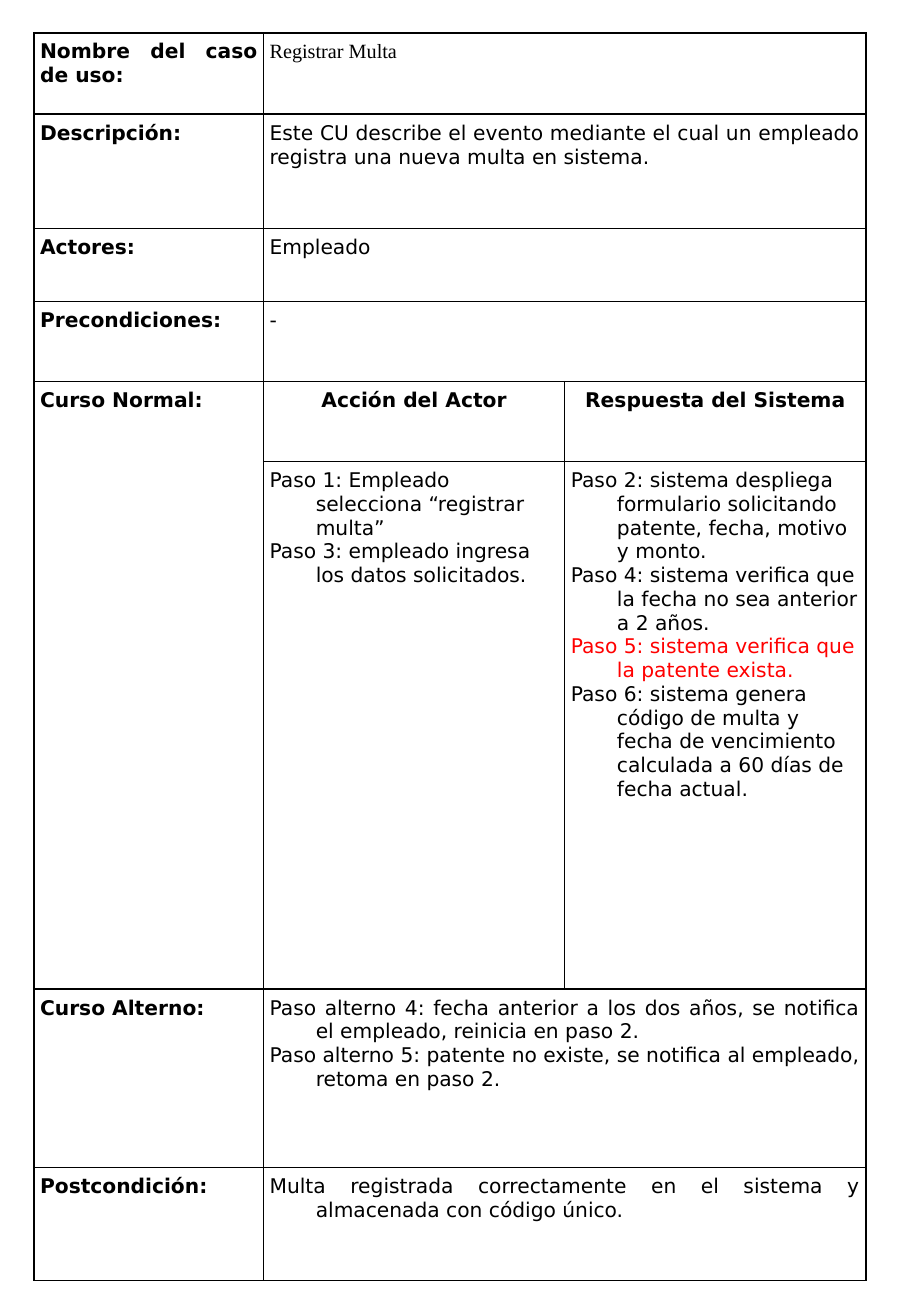
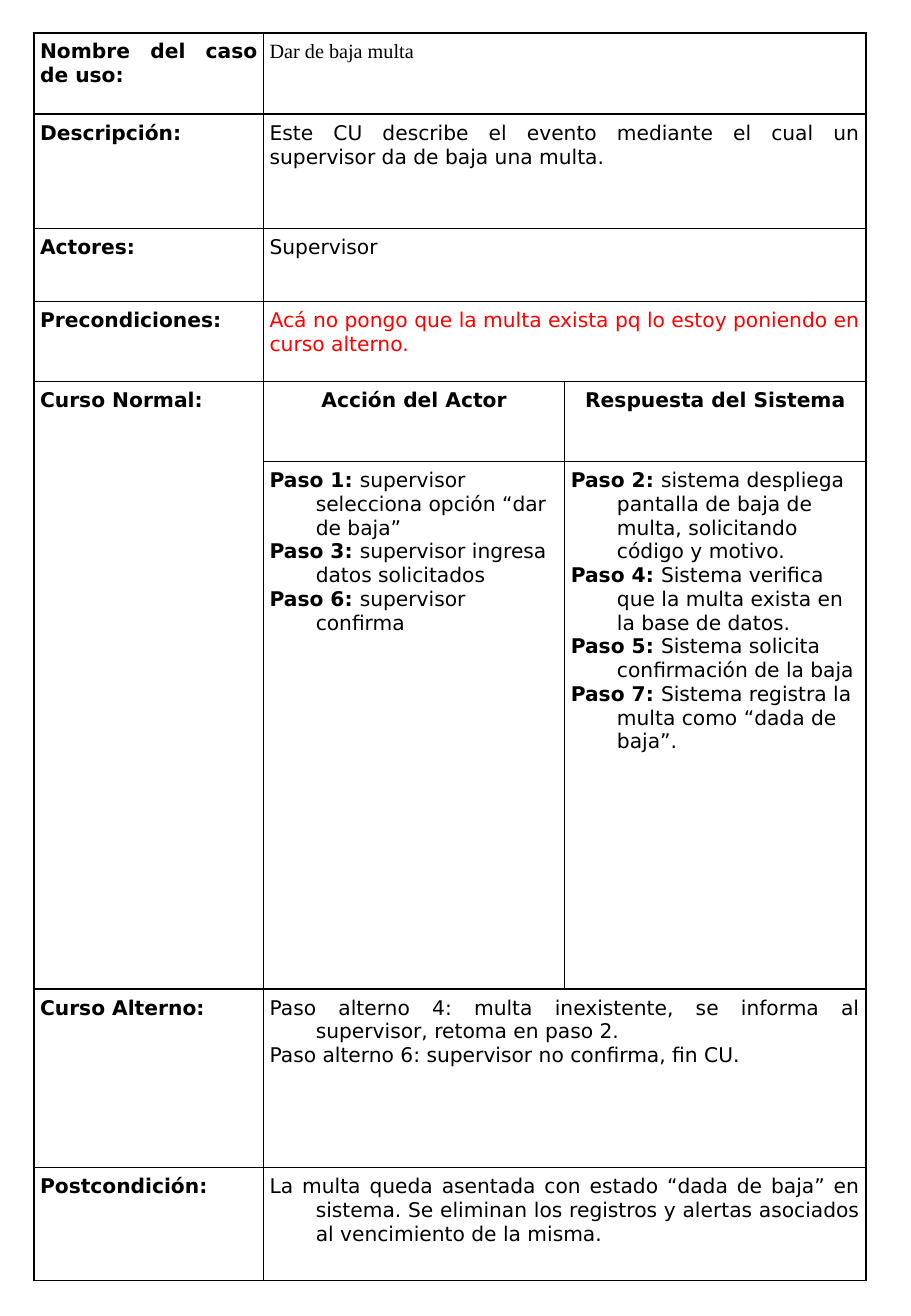
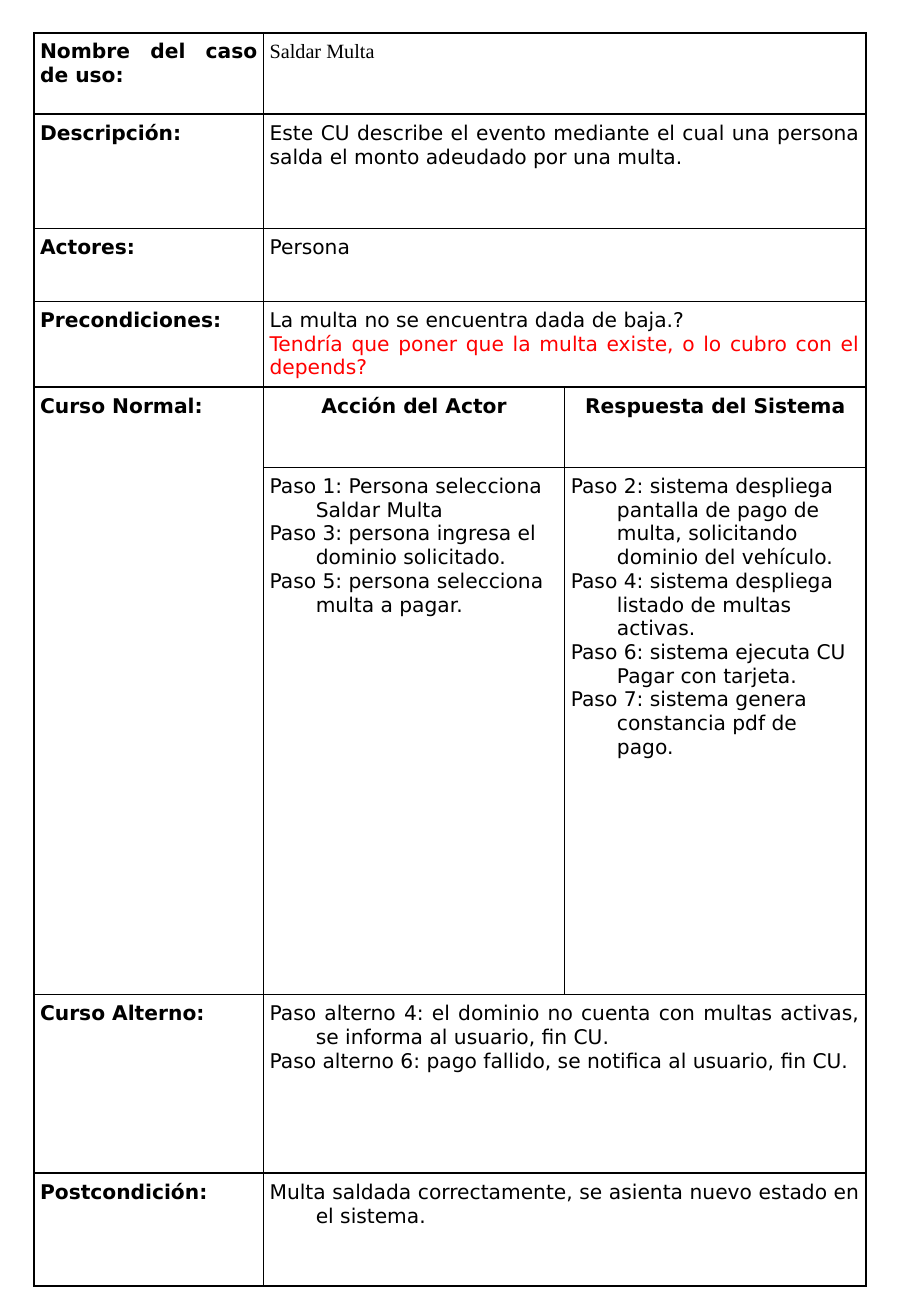
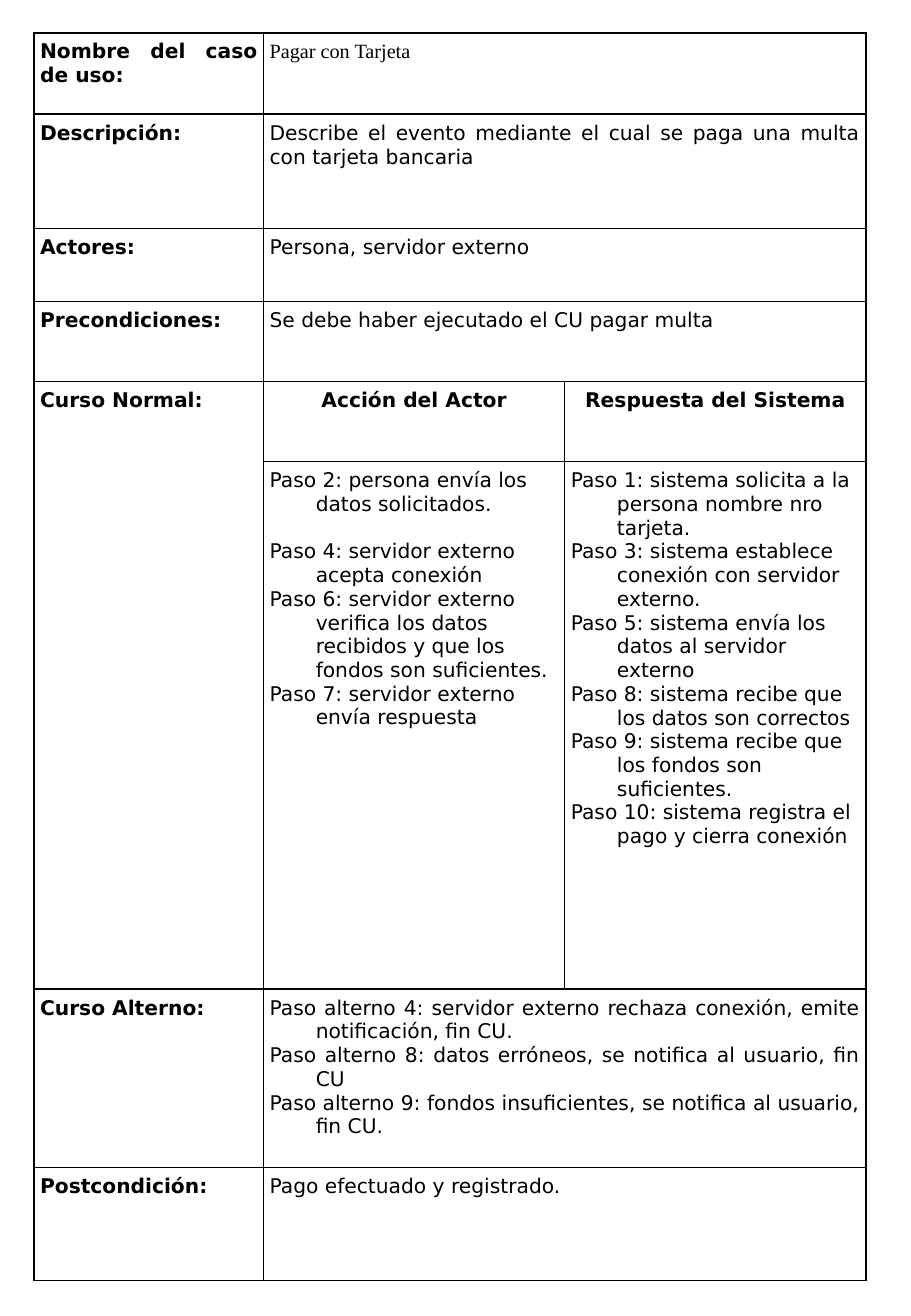
from dataclasses import dataclass

from lxml.etree import SubElement
from pptx import Presentation
from pptx.dml.color import RGBColor
from pptx.enum.text import PP_ALIGN
from pptx.oxml import parse_xml
from pptx.oxml.ns import nsdecls
from pptx.util import Inches, Pt

COLORS = {"ink": "000000", "remark": "FF0000"}
BODY_FONT = "DejaVu Sans"
NAME_FONT = "Times New Roman"
TEXT_SIZE = Pt(12)
LINE_PITCH = Pt(14)
HANGING = Inches(0.38)
BORDER = Pt(1)

TABLE_BOX = (0.28, 0.27, 6.85, 10.27)
COLUMN_WIDTHS = (1.89, 2.48, 2.48)
ROW_HEIGHTS = (0.67, 0.94, 0.6, 0.66, 0.66, 4.34, 1.47, 0.93)
LABELS = {
    0: "Nombre del caso de uso:",
    1: "Descripción:",
    2: "Actores:",
    3: "Precondiciones:",
    4: "Curso Normal:",
    6: "Curso Alterno:",
    7: "Postcondición:",
}
HEADER_ROW, STEPS_ROW = 4, 5


@dataclass
class Line:
    """One paragraph that departs from the plain style."""
    text: str
    color: str = "ink"
    gap_before: int = 0


@dataclass
class UseCase:
    name: str
    description: str
    actors: str
    preconditions: list
    actor_steps: list
    system_steps: list
    alternatives: list
    postcondition: str
    bold_step_numbers: bool = False


USE_CASES = [
    UseCase(
        name="Registrar Multa",
        description="Este CU describe el evento mediante el cual un empleado "
                    "registra una nueva multa en sistema.",
        actors="Empleado",
        preconditions=["-"],
        actor_steps=[
            "Paso 1: Empleado selecciona “registrar multa”",
            "Paso 3: empleado ingresa los datos solicitados.",
        ],
        system_steps=[
            "Paso 2: sistema despliega formulario solicitando patente, fecha, "
            "motivo y monto.",
            "Paso 4: sistema verifica que la fecha no sea anterior a 2 años.",
            Line("Paso 5: sistema verifica que la patente exista.", "remark"),
            "Paso 6: sistema genera código de multa y fecha de vencimiento "
            "calculada a 60 días de fecha actual.",
        ],
        alternatives=[
            "Paso alterno 4: fecha anterior a los dos años, se notifica el "
            "empleado, reinicia en paso 2.",
            "Paso alterno 5: patente no existe, se notifica al empleado, "
            "retoma en paso 2.",
        ],
        postcondition="Multa registrada correctamente en el sistema y "
                      "almacenada con código único.",
    ),
    UseCase(
        name="Dar de baja multa",
        description="Este CU describe el evento mediante el cual un supervisor "
                    "da de baja una multa.",
        actors="Supervisor",
        preconditions=[
            Line("Acá no pongo que la multa exista pq lo estoy poniendo en "
                 "curso alterno.", "remark"),
        ],
        actor_steps=[
            "Paso 1: supervisor selecciona opción “dar de baja”",
            "Paso 3: supervisor ingresa datos solicitados",
            "Paso 6: supervisor confirma",
        ],
        system_steps=[
            "Paso 2: sistema despliega pantalla de baja de multa, solicitando "
            "código y motivo.",
            "Paso 4: Sistema verifica que la multa exista en la base de datos.",
            "Paso 5: Sistema solicita confirmación de la baja",
            "Paso 7: Sistema registra la multa como “dada de baja”.",
        ],
        alternatives=[
            "Paso alterno 4: multa inexistente, se informa al supervisor, "
            "retoma en paso 2.",
            "Paso alterno 6: supervisor no confirma, fin CU.",
        ],
        postcondition="La multa queda asentada con estado “dada de baja” en "
                      "sistema. Se eliminan los registros y alertas asociados "
                      "al vencimiento de la misma.",
        bold_step_numbers=True,
    ),
    UseCase(
        name="Saldar Multa",
        description="Este CU describe el evento mediante el cual una persona "
                    "salda el monto adeudado por una multa.",
        actors="Persona",
        preconditions=[
            "La multa no se encuentra dada de baja.?",
            Line("Tendría que poner que la multa existe, o lo cubro con el "
                 "depends?", "remark"),
        ],
        actor_steps=[
            "Paso 1: Persona selecciona Saldar Multa",
            "Paso 3: persona ingresa el dominio solicitado.",
            "Paso 5: persona selecciona multa a pagar.",
        ],
        system_steps=[
            "Paso 2: sistema despliega pantalla de pago de multa, solicitando "
            "dominio del vehículo.",
            "Paso 4: sistema despliega listado de multas activas.",
            "Paso 6: sistema ejecuta CU Pagar con tarjeta.",
            "Paso 7: sistema genera constancia pdf de pago.",
        ],
        alternatives=[
            "Paso alterno 4: el dominio no cuenta con multas activas, se "
            "informa al usuario, fin CU.",
            "Paso alterno 6: pago fallido, se notifica al usuario, fin CU.",
        ],
        postcondition="Multa saldada correctamente, se asienta nuevo estado en "
                      "el sistema.",
    ),
    UseCase(
        name="Pagar con Tarjeta",
        description="Describe el evento mediante el cual se paga una multa con "
                    "tarjeta bancaria",
        actors="Persona, servidor externo",
        preconditions=["Se debe haber ejecutado el CU pagar multa"],
        actor_steps=[
            "Paso 2: persona envía los datos solicitados.",
            Line("Paso 4: servidor externo acepta conexión",
                 gap_before=LINE_PITCH),
            "Paso 6: servidor externo verifica los datos recibidos y que los "
            "fondos son suficientes.",
            "Paso 7: servidor externo envía respuesta",
        ],
        system_steps=[
            "Paso 1: sistema solicita a la persona nombre nro tarjeta.",
            "Paso 3: sistema establece conexión con servidor externo.",
            "Paso 5: sistema envía los datos al servidor externo",
            "Paso 8: sistema recibe que los datos son correctos",
            "Paso 9: sistema recibe que los fondos son suficientes.",
            "Paso 10: sistema registra el pago y cierra conexión",
        ],
        alternatives=[
            "Paso alterno 4: servidor externo rechaza conexión, emite "
            "notificación, fin CU.",
            "Paso alterno 8: datos erróneos, se notifica al usuario, fin CU",
            "Paso alterno 9: fondos insuficientes, se notifica al usuario, "
            "fin CU.",
        ],
        postcondition="Pago efectuado y registrado.",
    ),
]


def format_cell(cell):
    """Give a cell its insets, no fill and a border on each side."""
    cell.margin_left = cell.margin_right = Inches(0.05)
    cell.margin_top = cell.margin_bottom = Inches(0.06)
    cell.fill.background()
    properties = cell._tc.get_or_add_tcPr()
    for index, side in enumerate(("lnL", "lnR", "lnT", "lnB")):
        border = parse_xml(
            f'<a:{side} {nsdecls("a")} w="{BORDER}"><a:solidFill>'
            f'<a:srgbClr val="{COLORS["ink"]}"/></a:solidFill></a:{side}>')
        properties.insert(index, border)


def write_cell(cell, lines, align=PP_ALIGN.JUSTIFY, bold=False,
               font=BODY_FONT, hanging=False, bold_lead=False):
    """Write one paragraph per line; bold_lead stresses the part up to the colon."""
    frame = cell.text_frame
    for index, line in enumerate(lines):
        if isinstance(line, str):
            line = Line(line)
        para = frame.add_paragraph() if index else frame.paragraphs[0]
        para.alignment = align
        para.font.size = TEXT_SIZE
        para.font.name = font
        para.font.bold = bold
        para.font.color.rgb = RGBColor.from_string(COLORS[line.color])
        if line.gap_before:
            para.space_before = line.gap_before
        if hanging:
            properties = para._p.get_or_add_pPr()
            properties.set("marL", str(HANGING))
            properties.set("indent", str(-HANGING))
        if bold_lead:
            lead, rest = line.text.split(": ", 1)
            parts = [(lead + ": ", True), (rest, False)]
        else:
            parts = [(line.text, bold)]
        for text, is_bold in parts:
            span = para.add_run()
            span.text = text
            span.font.size = TEXT_SIZE
            span.font.name = font
            span.font.bold = is_bold
            span.font.color.rgb = RGBColor.from_string(COLORS[line.color])


def add_grid(page, box):
    """Add the empty table with its merged cells."""
    frame = page.shapes.add_table(len(ROW_HEIGHTS), len(COLUMN_WIDTHS),
                                  *(Inches(length) for length in box))
    table = frame.table
    table.first_row = table.horz_banding = False
    for column, width in zip(table.columns, COLUMN_WIDTHS):
        column.width = Inches(width)
    for row, height in zip(table.rows, ROW_HEIGHTS):
        row.height = Inches(height)
    for cell in table.iter_cells():
        format_cell(cell)
    for row in range(len(ROW_HEIGHTS)):
        if row not in (HEADER_ROW, STEPS_ROW):
            table.cell(row, 1).merge(table.cell(row, 2))
    table.cell(HEADER_ROW, 0).merge(table.cell(STEPS_ROW, 0))
    return table


def add_use_case(page, use_case, box):
    """Place the whole use case form in the given box."""
    table = add_grid(page, box)

    # Labels
    for row, label in LABELS.items():
        write_cell(table.cell(row, 0), [label], bold=True,
                   hanging=row >= HEADER_ROW)

    # General data
    write_cell(table.cell(0, 1), [use_case.name], font=NAME_FONT)
    write_cell(table.cell(1, 1), [use_case.description])
    write_cell(table.cell(2, 1), [use_case.actors])
    write_cell(table.cell(3, 1), use_case.preconditions)

    # Normal course
    courses = (("Acción del Actor", use_case.actor_steps),
               ("Respuesta del Sistema", use_case.system_steps))
    for column, (heading, steps) in enumerate(courses, start=1):
        write_cell(table.cell(HEADER_ROW, column), [heading],
                   align=PP_ALIGN.CENTER, bold=True, hanging=True)
        write_cell(table.cell(STEPS_ROW, column), steps, align=PP_ALIGN.LEFT,
                   hanging=True, bold_lead=use_case.bold_step_numbers)

    # Alternative course and outcome
    write_cell(table.cell(6, 1), use_case.alternatives, hanging=True)
    write_cell(table.cell(7, 1), [use_case.postcondition], hanging=True)


def main():
    deck = Presentation()
    deck.slide_width = Inches(7.5)
    deck.slide_height = Inches(10.83)
    blank_layout = deck.slide_layouts[6]
    for use_case in USE_CASES:
        page = deck.slides.add_slide(blank_layout)
        add_use_case(page, use_case, TABLE_BOX)
    deck.save("out.pptx")


if __name__ == "__main__":
    main()
